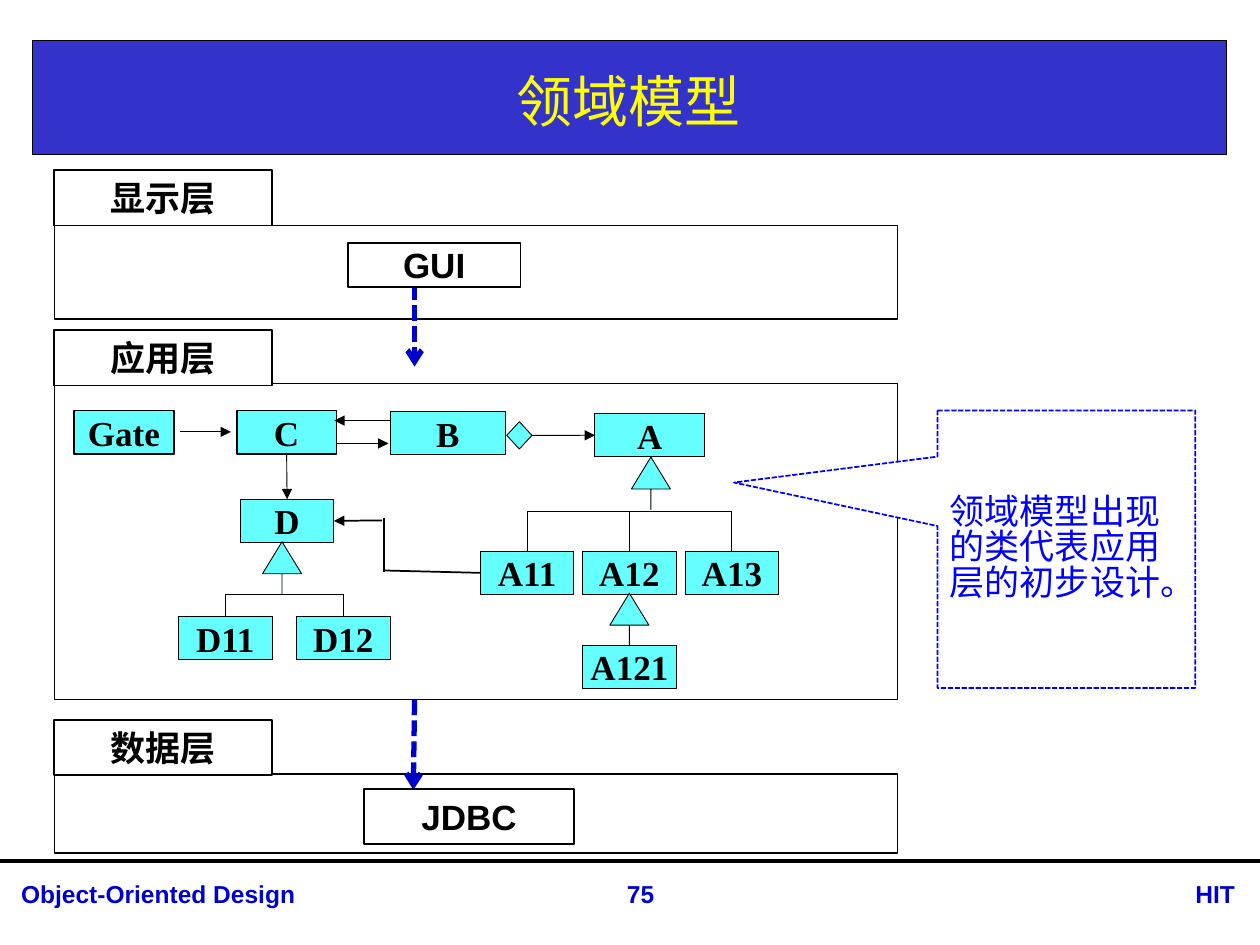
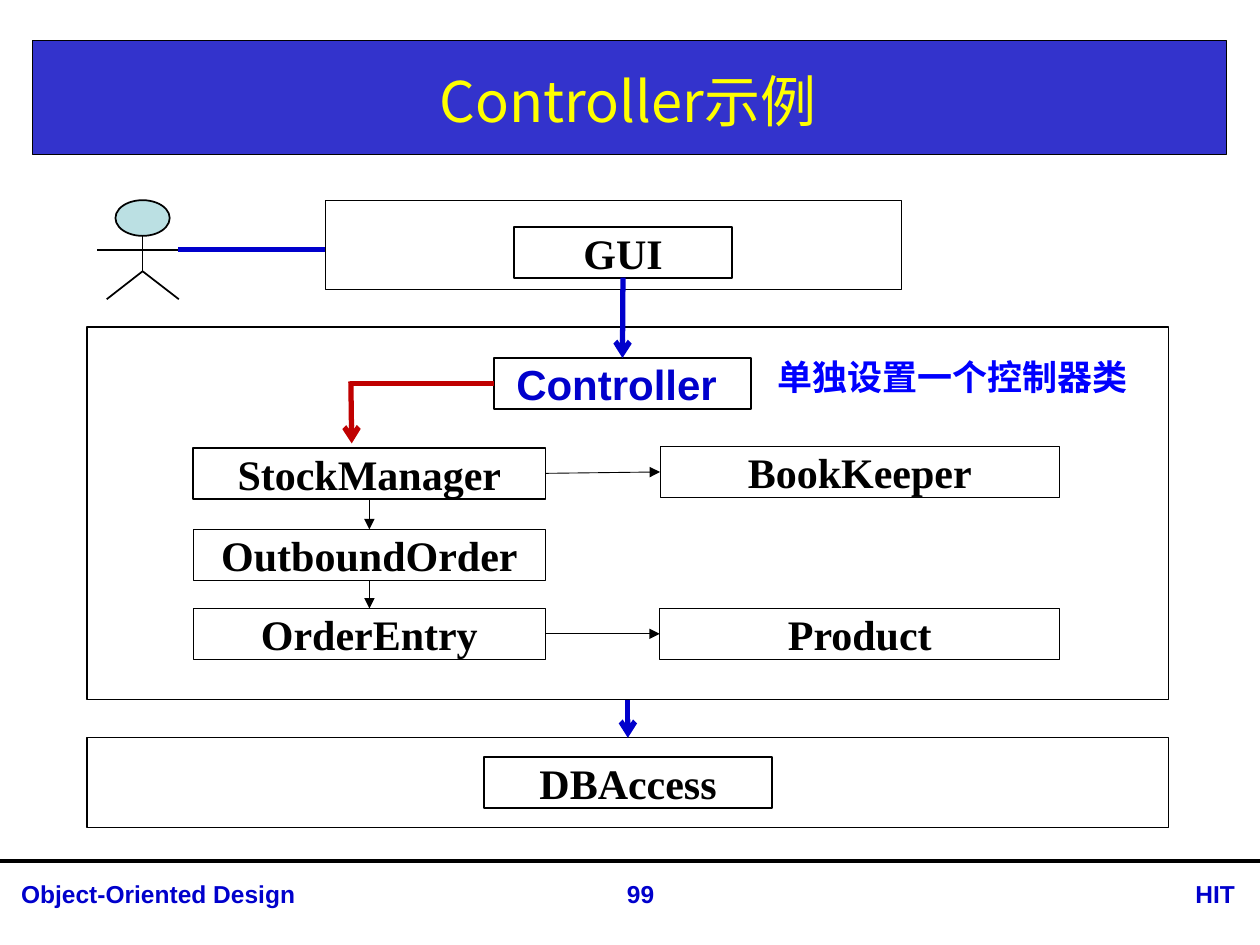
from lxml import etree
from pptx import Presentation
from pptx.dml.color import RGBColor
from pptx.enum.dml import MSO_LINE
from pptx.enum.shapes import MSO_CONNECTOR, MSO_SHAPE
from pptx.enum.text import MSO_ANCHOR, PP_ALIGN
from pptx.oxml.ns import qn
from pptx.util import Pt

RECT, OVAL, DIAMOND = MSO_SHAPE.RECTANGLE, MSO_SHAPE.OVAL, MSO_SHAPE.DIAMOND
UP_ARROW, CALLOUT = MSO_SHAPE.UP_ARROW, MSO_SHAPE.RECTANGULAR_CALLOUT
LEFT, CENTER, RIGHT = PP_ALIGN.LEFT, PP_ALIGN.CENTER, PP_ALIGN.RIGHT
TOP, MIDDLE = MSO_ANCHOR.TOP, MSO_ANCHOR.MIDDLE
STRAIGHT = MSO_CONNECTOR.STRAIGHT
DASHED = MSO_LINE.SQUARE_DOT
SIDE_TOP, SIDE_LEFT, SIDE_BOTTOM, SIDE_RIGHT = range(4)

BLACK = RGBColor(0x00, 0x00, 0x00)
WHITE = RGBColor(0xFF, 0xFF, 0xFF)
BAND_BLUE = RGBColor(0x33, 0x33, 0xCC)
TITLE_YELLOW = RGBColor(0xFF, 0xFF, 0x00)
DEEP_BLUE = RGBColor(0x00, 0x00, 0xCC)
NOTE_BLUE = RGBColor(0x00, 0x00, 0xFF)
CLASS_CYAN = RGBColor(0x66, 0xFF, 0xFF)
ACTOR_TEAL = RGBColor(0xBB, 0xE0, 0xE3)
CONTROL_RED = RGBColor(0xC0, 0x00, 0x00)

SANS, SERIF, CJK = "Arial", "Times New Roman", "Noto Sans CJK SC"


def style(shape, text="", size=20, font=SERIF, color=BLACK, bold=True, align=CENTER,
          anchor=MIDDLE, inset=None, spacing=None, fill=None, edge=None, weight=0.5):
    """Fill, outline and label a shape."""
    shape.shadow.inherit = False
    if fill is None:
        shape.fill.background()
    else:
        shape.fill.solid()
        shape.fill.fore_color.rgb = fill
    if edge is None:
        shape.line.fill.background()
    else:
        shape.line.color.rgb = edge
        shape.line.width = Pt(weight)
    if text:
        frame = shape.text_frame
        frame.word_wrap = True
        frame.vertical_anchor = anchor
        if inset is not None:
            frame.margin_left = frame.margin_right = Pt(inset)
            frame.margin_top = frame.margin_bottom = Pt(inset)
        paragraph = frame.paragraphs[0]
        paragraph.alignment = align
        if spacing:
            paragraph.line_spacing = spacing
        run = paragraph.add_run()
        run.text = text
        run.font.size, run.font.name, run.font.bold = Pt(size), font, bold
        run.font.color.rgb = color
        etree.SubElement(run.font._element, qn("a:ea"), typeface=font)
    return shape


def link(shapes, start, end, color=BLACK, weight=0.5, head=None, dash=None):
    """Draw a line; each end is a point (x, y) or a joint (shape, side)."""
    joined = [not isinstance(tip[0], (int, float)) for tip in (start, end)]
    points = [(0, 0) if fixed else tip for fixed, tip in zip(joined, (start, end))]
    line = shapes.add_connector(STRAIGHT, *map(Pt, points[0] + points[1]))
    if joined[0]:
        line.begin_connect(*start)
    if joined[1]:
        line.end_connect(*end)
    line.line.color.rgb = color
    line.line.width = Pt(weight)
    if dash:
        line.line.dash_style = dash
    if head:
        etree.SubElement(line.line._get_or_add_ln(), qn("a:tailEnd"), type=head)
    etree.SubElement(line._element.spPr, qn("a:effectLst"))
    return line


prs = Presentation()
prs.slide_width, prs.slide_height = Pt(720), Pt(540)

# Title band and footer on both slides
pages = []
for heading, number in [("领域模型", "75"), ("Controller示例", "99")]:
    slide = prs.slides.add_slide(prs.slide_layouts[5])
    shapes = slide.shapes
    title = shapes.title
    title.left, title.top, title.width, title.height = map(Pt, (18.7, 26, 680.5, 62.5))
    style(title, heading, size=32, font=CJK, color=TITLE_YELLOW, bold=False)
    band = style(shapes.add_shape(RECT, *map(Pt, (18.7, 23, 682, 65.5))),
                 fill=BAND_BLUE, edge=BLACK, weight=0.75)
    title.element.addprevious(band.element)
    link(shapes, (0, 491.8), (720, 491.8), weight=2.25)
    for words, left, width, align in [("Object-Oriented Design", 5, 333.4, LEFT),
                                      ("HIT", 638.6, 74.2, RIGHT),
                                      (number, 329, 74.2, CENTER)]:
        style(shapes.add_textbox(*map(Pt, (left, 499, width, 24.5))), words, size=14,
              font=SANS, color=DEEP_BLUE, align=align, anchor=TOP)
    pages.append(shapes)

model, example = pages

# Slide 1: layer panels, dependencies and tabs
for top, height in [(129, 53.3), (219, 180.7), (442.3, 45.2)]:
    style(model.add_shape(RECT, *map(Pt, (31, top, 481.7, height))),
          fill=WHITE, edge=BLACK, weight=0.75)
for start, end in [((236.9, 138.2), (236.9, 209.5)), ((236.9, 399.6), (236.2, 451.4))]:
    link(model, start, end, DEEP_BLUE, 3, "arrow", DASHED)
for layer, top in [("显示层", 97.2), ("应用层", 188.6), ("数据层", 411.3)]:
    style(model.add_shape(RECT, *map(Pt, (31, top, 124.6, 31.7))), layer,
          font=CJK, fill=WHITE, edge=BLACK, weight=1)
for component, *place in [("GUI", 198.7, 138.8, 98.8, 25.2),
                          ("JDBC", 208, 450.7, 120.2, 31.7)]:
    style(model.add_shape(RECT, *map(Pt, place)), component, font=SANS,
          fill=WHITE, edge=BLACK, weight=1)

# Slide 1: domain classes
classes = {}
for name, left, top, width, weight in [
        ("Gate", 42.3, 234.6, 57, 1), ("C", 135.3, 234.6, 57, 1),
        ("B", 223, 235.3, 66, 0.5), ("A", 340, 236.4, 62.6, 0.5),
        ("D", 137.3, 285.3, 53.5, 0.5),
        ("A11", 274.5, 315, 53.5, 0.5), ("A12", 332.8, 315, 53.8, 0.5),
        ("A13", 391.5, 315, 53.5, 0.5), ("A121", 332.8, 368.6, 53.8, 0.5),
        ("D11", 102, 352.3, 53.5, 0.5), ("D12", 169.3, 352.3, 53.8, 0.5)]:
    classes[name] = style(model.add_shape(RECT, *map(Pt, (left, top, width, 24.7))), name,
                          inset=0, fill=CLASS_CYAN, edge=BLACK, weight=weight)

# Slide 1: inheritance triangles and branches
for left, top in [(360.8, 261.2), (150, 309.6), (348.5, 339)]:
    triangle = model.add_shape(UP_ARROW, *map(Pt, (left, top, 22.3, 30)))
    triangle.adjustments[0], triangle.adjustments[1] = 0, 0.819
    style(triangle, fill=CLASS_CYAN, edge=BLACK)
for children, bar in [(("A11", "A12", "A13"), 292.5), (("D11", "D12"), 339.7)]:
    centers = [(classes[c].left + classes[c].width / 2) / Pt(1) for c in children]
    link(model, (centers[0], bar), (centers[-1], bar))
    for child, center in zip(children, centers):
        link(model, (center, bar), (classes[child], SIDE_TOP))

# Slide 1: associations and aggregation
link(model, (102.8, 246.8), (132, 246.8), head="triangle")
link(model, (192.2, 253.4), (222, 253.4), head="triangle")
link(model, (223, 240.3), (191, 240.3), weight=1, head="triangle")
link(model, (classes["C"], SIDE_BOTTOM), (classes["D"], SIDE_TOP), head="triangle")
link(model, (300.2, 248.8), (classes["A"], SIDE_LEFT), head="triangle")
style(model.add_shape(DIAMOND, *map(Pt, (289.6, 241, 14.4, 15.6))),
      fill=CLASS_CYAN, edge=BLACK)
link(model, (classes["A11"], SIDE_LEFT), (219.4, 326), weight=1)
link(model, (219.4, 296), (219.4, 326.8), weight=1)
link(model, (218.4, 297.4), (classes["D"], SIDE_RIGHT), weight=1, head="triangle")

# Slide 1: remark
remark = model.add_shape(CALLOUT, *map(Pt, (535.7, 234.5, 147.4, 158.6)))
remark.adjustments[0], remark.adjustments[1] = -1.289, -0.24
style(remark, "领域模型出现的类代表应用层的初步设计。", font=CJK, color=NOTE_BLUE,
      bold=False, align=LEFT, spacing=0.85, fill=WHITE, edge=NOTE_BLUE, weight=1)
remark.line.dash_style = DASHED

# Slide 2: layer panels
gui_panel, logic_panel, data_panel = [
    style(example.add_shape(RECT, *map(Pt, place)), edge=BLACK, weight=0.75)
    for place in [(186, 114.6, 329, 51), (49.8, 186.8, 618, 213), (49.8, 421.6, 618, 51.2)]]

# Slide 2: actor
actor = example.add_group_shape().shapes
style(actor.add_shape(OVAL, *map(Pt, (66, 114.4, 31, 20.4))),
      fill=ACTOR_TEAL, edge=BLACK, weight=1)
for start, end in [((55.6, 142.7), (102.4, 142.7)), ((81.5, 134.8), (81.5, 155)),
                   ((81.5, 155), (61, 171)), ((81.5, 155), (102.2, 171))]:
    link(actor, start, end, weight=1)
link(example, (102, 142.7), (186, 142.7), DEEP_BLUE, 2.75)

# Slide 2: components
parts = {}
for name, left, top, width, weight, font, color in [
        ("GUI", 293.6, 129.7, 124.8, 1, SERIF, BLACK),
        ("Controller ", 282.2, 204.6, 147, 1, SANS, DEEP_BLUE),
        ("StockManager", 110.5, 256, 201.2, 1, SERIF, BLACK),
        ("OutboundOrder", 110.5, 302.5, 201.2, 0.5, SERIF, BLACK),
        ("OrderEntry", 110.5, 347.7, 201.2, 0.5, SERIF, BLACK),
        ("BookKeeper", 377.2, 255.2, 228.3, 0.5, SERIF, BLACK),
        ("Product", 377, 347.7, 228.6, 0.5, SERIF, BLACK),
        ("DBAccess", 276.8, 432.6, 164.3, 1, SERIF, BLACK)]:
    parts[name.strip()] = style(
        example.add_shape(RECT, *map(Pt, (left, top, width, 29))), name, size=24,
        font=font, color=color, inset=0, fill=WHITE, edge=BLACK, weight=weight)

# Slide 2: calls between components
for caller, callee in [("StockManager", "BookKeeper"), ("OrderEntry", "Product")]:
    link(example, (parts[caller], SIDE_RIGHT), (parts[callee], SIDE_LEFT), head="triangle")
for caller, callee in [("StockManager", "OutboundOrder"), ("OutboundOrder", "OrderEntry")]:
    link(example, (parts[caller], SIDE_BOTTOM), (parts[callee], SIDE_TOP), head="triangle")
for upper, lower in [(parts["GUI"], parts["Controller"]), (logic_panel, data_panel)]:
    link(example, (upper, SIDE_BOTTOM), (lower, SIDE_TOP), DEEP_BLUE, 3, "arrow")
link(example, (parts["Controller"], SIDE_LEFT), (200, 219.1), CONTROL_RED, 3)
link(example, (200.5, 218), (201, 253.4), CONTROL_RED, 3, "arrow")

# Slide 2: remark
style(example.add_textbox(*map(Pt, (437, 199.4, 224, 31.7))), "单独设置一个控制器类",
      font=CJK, color=NOTE_BLUE, align=LEFT, anchor=TOP)

prs.save("out.pptx")
